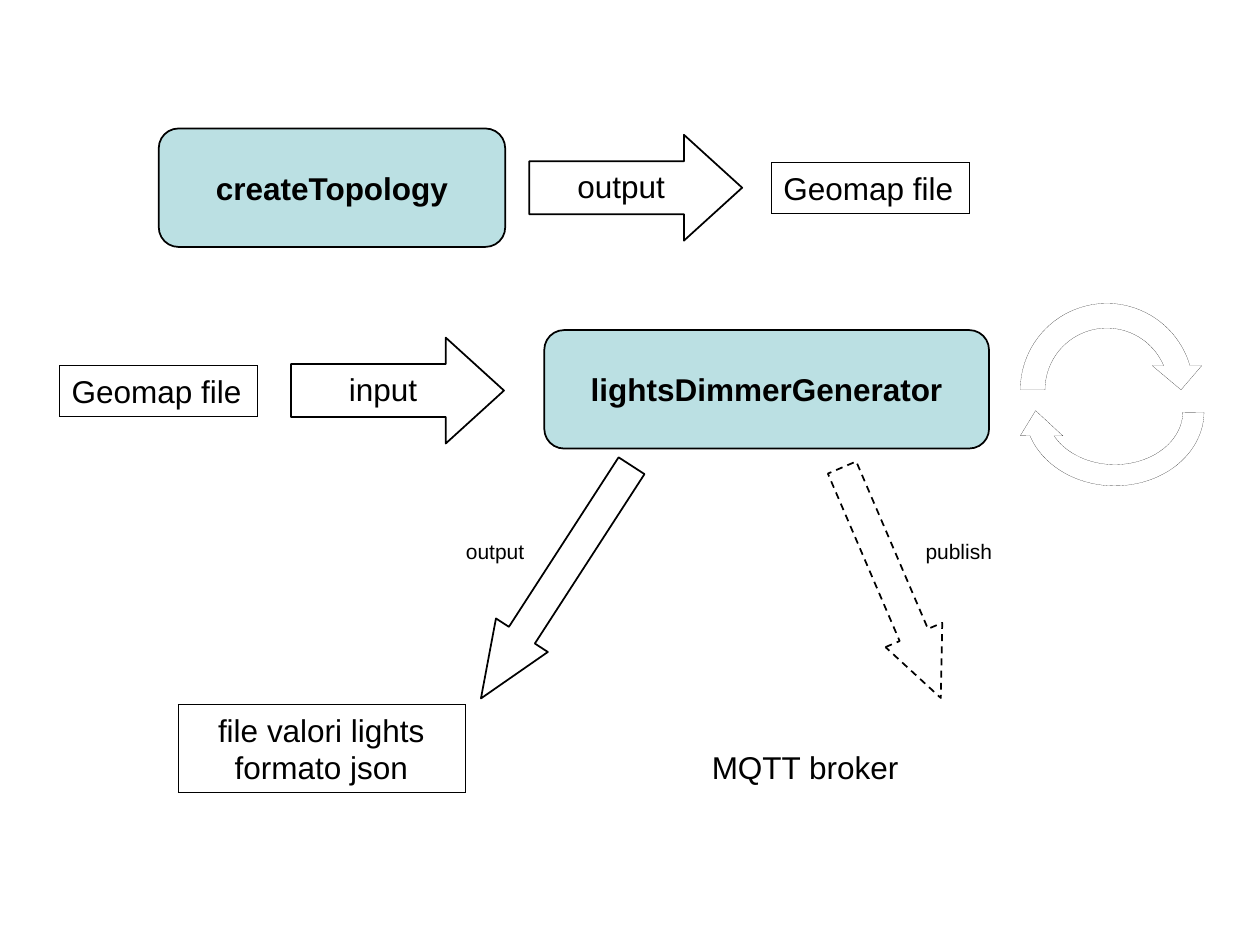
from dataclasses import dataclass

from pptx import Presentation
from pptx.dml.color import RGBColor
from pptx.enum import dml, shapes, text
from pptx.util import Inches, Pt

SHAPE = shapes.MSO_SHAPE
DASH = dml.MSO_LINE
ANCHOR = text.MSO_ANCHOR
ALIGN = text.PP_ALIGN


@dataclass(frozen=True)
class Theme:
    font: str = "Arial"
    ink: RGBColor = RGBColor(0, 0, 0)
    paper: RGBColor = RGBColor(255, 255, 255)
    process: RGBColor = RGBColor(0xBB, 0xE0, 0xE3)
    body: int = 18
    small: int = 12
    line: float = 1
    hairline: float = 0.05


THEME = Theme()


def write(sp, words, size=THEME.body, bold=False, align=ALIGN.CENTER,
          anchor=ANCHOR.TOP, wrap=True):
    tf = sp.text_frame
    tf.word_wrap = wrap
    tf.vertical_anchor = anchor
    p = tf.paragraphs[0]
    p.text = words
    p.alignment = align
    p.font.name = THEME.font
    p.font.size = Pt(size)
    p.font.bold = bold
    p.font.color.rgb = THEME.ink


def add_outlined(s, kind, box, fill=THEME.paper, width=THEME.line,
                 dash=None, adjust=(), rotation=0):
    sp = s.shapes.add_shape(kind, *map(Inches, box))
    sp.shadow.inherit = False
    sp.rotation = rotation
    for i, value in enumerate(adjust):
        sp.adjustments[i] = value
    if fill is None:
        sp.fill.background()
    else:
        sp.fill.solid()
        sp.fill.fore_color.rgb = fill
    sp.line.color.rgb = THEME.ink
    sp.line.width = Pt(width)
    if dash is not None:
        sp.line.dash_style = dash
    return sp


def add_process(s, box, name):
    sp = add_outlined(s, SHAPE.ROUNDED_RECTANGLE, box, THEME.process)
    write(sp, name, bold=True, anchor=ANCHOR.MIDDLE)


def add_flow(s, left, top, label):
    sp = add_outlined(s, SHAPE.RIGHT_ARROW, (left, top, 1.69, 0.84),
                      adjust=(0.5, 0.55))
    write(sp, label)


def add_file(s, box, name, align=ALIGN.LEFT, wrap=False):
    sp = add_outlined(s, SHAPE.RECTANGLE, box, None, THEME.hairline,
                      DASH.ROUND_DOT)
    write(sp, name, align=align, wrap=wrap)


def add_branch(s, box, head, rotation, dash=None):
    add_outlined(s, SHAPE.DOWN_ARROW, box, dash=dash, adjust=(0.5, head),
                 rotation=rotation)


def add_cycle(s, box, rotation=0):
    add_outlined(s, SHAPE.CIRCULAR_ARROW, box, width=THEME.hairline,
                 adjust=(0.125, 11.423, 204.577, 108, 0.125),
                 rotation=rotation)


def add_label(s, box, words, size=THEME.body, anchor=ANCHOR.TOP):
    sp = s.shapes.add_textbox(*map(Inches, box))
    write(sp, words, size, anchor=anchor)


def main():
    prs = Presentation()
    prs.slide_width, prs.slide_height = Inches(10), Inches(7.5)
    s = prs.slides.add_slide(prs.slide_layouts[6])

    add_process(s, (1.26, 1.02, 2.75, 0.94), "createTopology")
    add_flow(s, 4.2, 1.07, "output")
    add_file(s, (6.12, 1.29, 1.57, 0.4), "Geomap file")

    add_file(s, (0.47, 2.9, 1.57, 0.4), "Geomap file")
    add_flow(s, 2.31, 2.68, "input")
    add_process(s, (4.32, 2.62, 3.53, 0.94), "lightsDimmerGenerator")

    add_file(s, (1.41, 5.59, 2.28, 0.7), "file valori lights formato json",
             ALIGN.CENTER, wrap=True)
    add_branch(s, (4.17, 3.52, 0.49, 2.2), 1.22, 32.9)
    add_branch(s, (6.83, 3.63, 0.49, 1.99), 1.11, 336.8, DASH.DASH)
    for left, label in ((3.3, "output"), (6.98, "publish")):
        add_label(s, (left, 4.2, 1.26, 0.35), label, THEME.small,
                  ANCHOR.MIDDLE)

    add_cycle(s, (8, 2.31, 1.57, 1.57))
    add_cycle(s, (8.05, 2.59, 1.59, 1.35), 180.6)
    add_label(s, (5.48, 5.89, 1.82, 0.4), "MQTT broker")

    prs.save("out.pptx")


if __name__ == "__main__":
    main()
